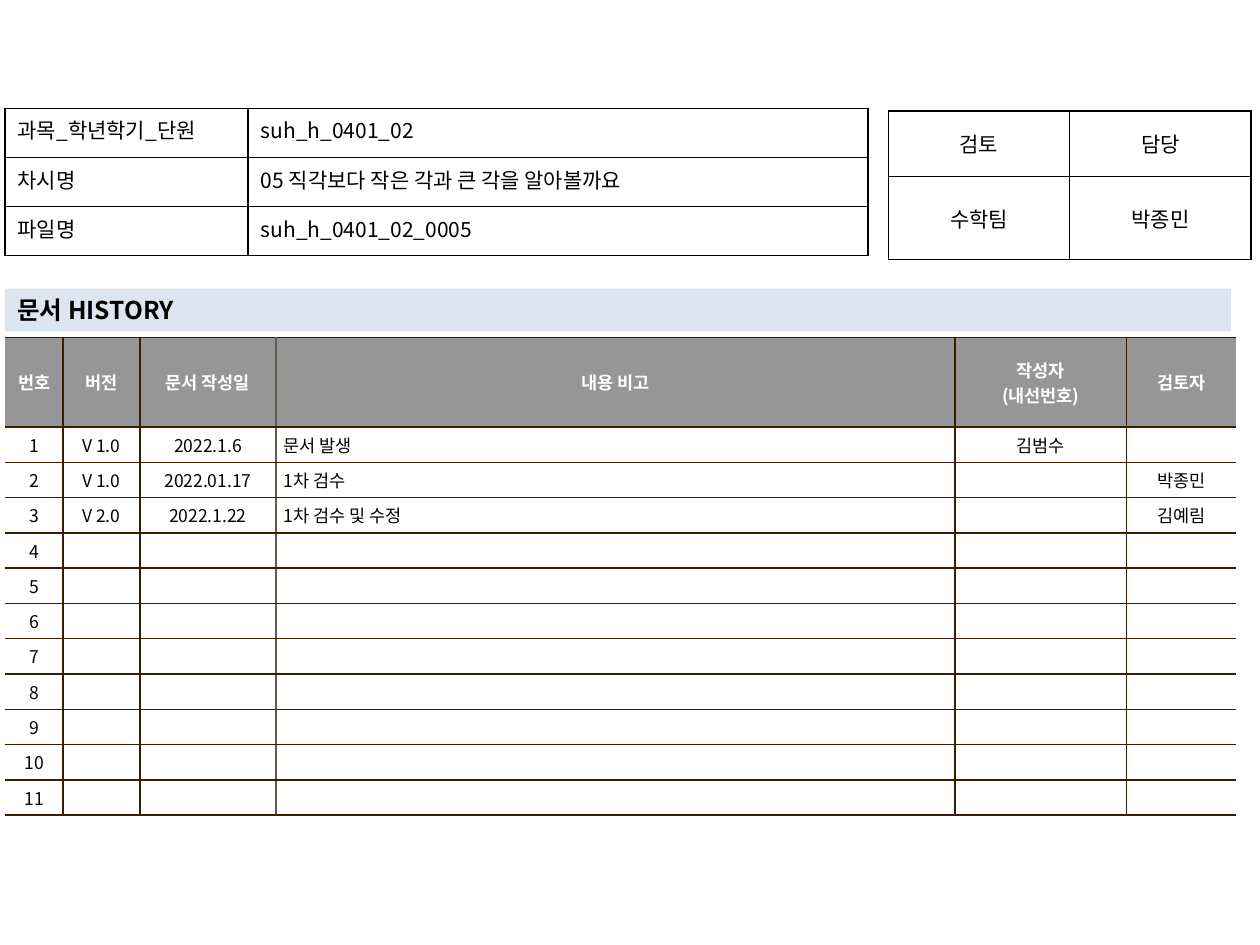
from dataclasses import dataclass

from lxml import etree
from pptx import Presentation
from pptx import util as u
from pptx.dml.color import RGBColor
from pptx.enum import shapes, text
from pptx.oxml import ns

FONT = "Noto Sans CJK KR"
HEX = {"black": "000000", "white": "FFFFFF", "gray": "969696",
       "brown": "362000", "taupe": "645B4C", "sky": "DCE6F2"}
LEFT, MID, JUST = (text.PP_ALIGN.LEFT, text.PP_ALIGN.CENTER,
                   text.PP_ALIGN.JUSTIFY)
TOP, CENTRE = text.MSO_ANCHOR.TOP, text.MSO_ANCHOR.MIDDLE


@dataclass
class Grid:
    left: float
    top: float
    cols: list[float]
    rows: list[float]
    cells: list[list[str]]
    aligns: list
    size: int = 12
    anchor: object = CENTRE
    pad: tuple[float, float] = (0.1, 0.05)
    line: str = "black"
    open: bool = False       # no border on the left and right edges
    head: bool = False       # first row is a filled heading
    seam: int | None = None  # column whose left border is taupe


def rgb(name: str) -> RGBColor:
    return RGBColor.from_string(HEX[name])


def style(para, size: int, color: str, bold: bool, align) -> None:
    para.alignment = align
    font = para.font
    font.size, font.bold, font.name = u.Pt(size), bold, FONT
    font.color.rgb = rgb(color)
    props = para._p.pPr.find(ns.qn("a:defRPr"))
    etree.SubElement(props, ns.qn("a:ea"), typeface=FONT)
    if not para.runs:
        # An empty cell needs its own size to keep the row low
        etree.SubElement(para._p, ns.qn("a:endParaRPr"), sz=str(size * 100))


def edge(cell, side: str, color: str | None) -> None:
    props = cell._tc.get_or_add_tcPr()
    line = etree.SubElement(props, ns.qn(f"a:ln{side}"), w=str(u.Pt(1)))
    if color is None:
        etree.SubElement(line, ns.qn("a:noFill"))
        return
    fill = etree.SubElement(line, ns.qn("a:solidFill"))
    etree.SubElement(fill, ns.qn("a:srgbClr"), val=HEX[color])


def border(cell, col: int, grid: Grid) -> None:
    last = len(grid.cols) - 1
    for side, rim, num in (("L", 0, col), ("R", last, col + 1)):
        color = "taupe" if num == grid.seam else grid.line
        edge(cell, side, None if grid.open and col == rim else color)
    for side in "TB":
        edge(cell, side, grid.line)


def draw_grid(slide, grid: Grid) -> None:
    frame = slide.shapes.add_table(
        len(grid.rows), len(grid.cols), u.Inches(grid.left),
        u.Inches(grid.top), u.Inches(sum(grid.cols)),
        u.Inches(sum(grid.rows)))
    table = frame.table
    table.first_row = table.horz_banding = False
    for col, width in zip(table.columns, grid.cols):
        col.width = u.Inches(width)
    for row, height in zip(table.rows, grid.rows):
        row.height = u.Inches(height)
    side, end = map(u.Inches, grid.pad)
    for r, words in enumerate(grid.cells):
        head = grid.head and r == 0
        for c, word in enumerate(words):
            cell = table.cell(r, c)
            cell.text = word
            cell.vertical_anchor = grid.anchor
            cell.margin_left = cell.margin_right = side
            cell.margin_top = cell.margin_bottom = end
            border(cell, c, grid)
            cell.fill.solid()
            cell.fill.fore_color.rgb = rgb("gray" if head else "white")
            for para in cell.text_frame.paragraphs:
                style(para, grid.size, "white" if head else "black", head,
                      MID if head else grid.aligns[c])


def draw_title(slide, words: str) -> None:
    box = slide.shapes.add_shape(
        shapes.MSO_SHAPE.RECTANGLE, u.Inches(0.04), u.Inches(2.29),
        u.Inches(9.73), u.Inches(0.34))
    box.shadow.inherit = False
    box.fill.solid()
    box.fill.fore_color.rgb = rgb("sky")
    box.line.fill.background()
    frame = box.text_frame
    frame.word_wrap = True
    frame.vertical_anchor = CENTRE
    frame.text = words
    style(frame.paragraphs[0], 14, "black", True, LEFT)


LOG = [
    ["V 1.0", "2022.1.6", "문서 발생", "김범수", ""],
    ["V 1.0", "2022.01.17", "1차 검수", "", "박종민"],
    ["V 2.0", "2022.1.22", "1차 검수 및 수정", "", "김예림"],
]
COUNT = 11
HEAD = ["번호", "버전", "문서 작성일", "내용 비고",
        "작성자\n(내선번호)", "검토자"]
BODY = [[str(i + 1)] + (LOG[i] if i < len(LOG) else [""] * 5)
        for i in range(COUNT)]

HISTORY = Grid(0.04, 2.68, [0.46, 0.61, 1.08, 5.39, 1.36, 0.87],
               [0.71] + [0.28] * COUNT, [HEAD] + BODY,
               [MID, MID, MID, LEFT, MID, MID], size=10, pad=(0.06, 0.04),
               line="brown", open=True, head=True, seam=3)
REVIEW = Grid(7.05, 0.88, [1.44] * 2, [0.52, 0.66],
              [["검토", "담당"], ["수학팀", "박종민"]], [MID, MID])
INFO = Grid(0.04, 0.86, [1.93, 4.92], [0.39] * 3,
            [["과목_학년학기_단원", "suh_h_0401_02"],
             ["차시명", "05 직각보다 작은 각과 큰 각을 알아볼까요"],
             ["파일명", "suh_h_0401_02_0005"]],
            [JUST, LEFT], anchor=TOP)


def main() -> None:
    deck = Presentation()
    deck.slide_width, deck.slide_height = u.Inches(10), u.Inches(7.5)
    slide = deck.slides.add_slide(deck.slide_layouts[6])
    draw_grid(slide, HISTORY)
    draw_grid(slide, REVIEW)
    draw_title(slide, "문서 HISTORY")
    draw_grid(slide, INFO)
    deck.save("out.pptx")


if __name__ == "__main__":
    main()
